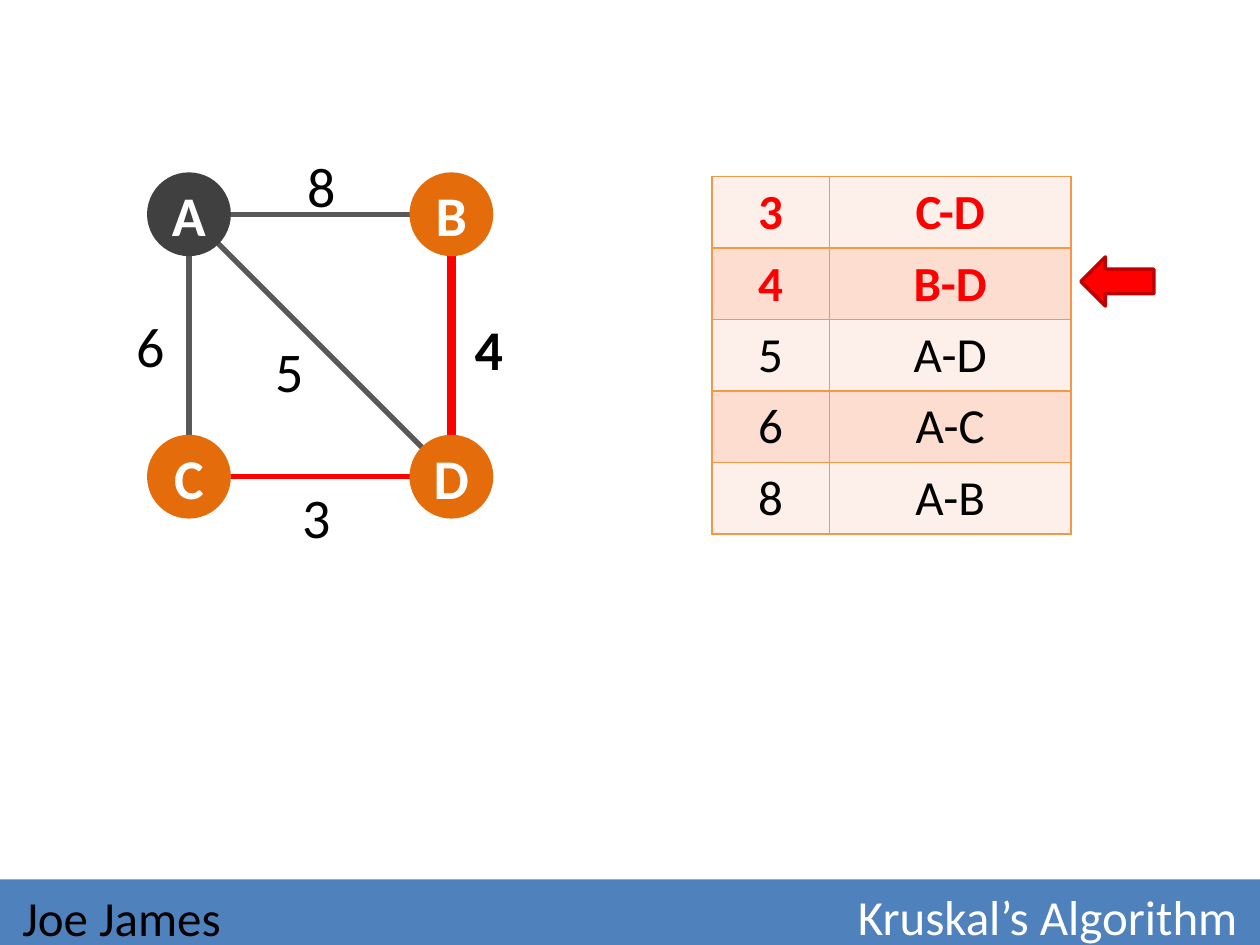
from lxml import etree
from pptx import Presentation
from pptx.dml.color import RGBColor
from pptx.enum.shapes import MSO_CONNECTOR, MSO_SHAPE
from pptx.enum.text import MSO_ANCHOR, MSO_AUTO_SIZE, PP_ALIGN
from pptx.oxml.ns import qn
from pptx.util import Cm, Pt

STRAIGHT = MSO_CONNECTOR.STRAIGHT
RECTANGLE, OVAL, LEFT_ARROW = MSO_SHAPE.RECTANGLE, MSO_SHAPE.OVAL, MSO_SHAPE.LEFT_ARROW
MIDDLE = MSO_ANCHOR.MIDDLE
NO_FIT = MSO_AUTO_SIZE.NONE
LEFT, CENTER, RIGHT = PP_ALIGN.LEFT, PP_ALIGN.CENTER, PP_ALIGN.RIGHT

BLACK = RGBColor(0x00, 0x00, 0x00)
WHITE = RGBColor(0xFF, 0xFF, 0xFF)
RED = RGBColor(0xFF, 0x00, 0x00)
DARK_RED = RGBColor(0xC0, 0x00, 0x00)
BLUE = RGBColor(0x4F, 0x81, 0xBD)
LINE_GRAY = RGBColor(0x59, 0x59, 0x59)
NODE_GRAY = RGBColor(0x40, 0x40, 0x40)
ORANGE = RGBColor(0xE4, 0x6C, 0x0A)
BORDER_ORANGE = RGBColor(0xF7, 0x96, 0x46)
ROW_FILLS = (RGBColor(0xFD, 0xEF, 0xE9), RGBColor(0xFC, 0xDD, 0xCF))

# Content: node -> (column, row, colour)
TITLE = "Kruskal’s Algorithm"
AUTHOR = "Joe James"
NODES = {
    "A": (0, 0, NODE_GRAY),
    "B": (1, 0, ORANGE),
    "C": (0, 1, ORANGE),
    "D": (1, 1, ORANGE),
}
# Edges by weight: weight, ends, chosen, line width, label left and top in cm
EDGES = [
    (3, "CD", True, 3, 5.84, 9.6),
    (4, "BD", True, 5, 9.32, 6.22),
    (5, "AD", False, 3, 5.31, 6.65),
    (6, "AC", False, 3, 2.51, 6.15),
    (8, "AB", False, 3, 5.94, 2.92),
]
CURRENT_WEIGHT = 4

# Layout in cm
NODE_SIZE, NODE_STEP = 1.69, 5.29
GRAPH_LEFT, GRAPH_TOP = 3.81, 4.32
TABLE_LEFT, TABLE_TOP, ROW_HEIGHT = 14.35, 3.56, 1.44
COLUMN_WIDTHS = (2.37, 4.87)
BAND_TOP, BAND_HEIGHT = 17.73, 1.32


def write(frame, text, size, color, bold=False, align=LEFT):
    frame.text = text
    para = frame.paragraphs[0]
    para.alignment = align
    para.font.name = "Calibri"
    para.font.size = Pt(size)
    para.font.bold = bold
    para.font.color.rgb = color


def add_filled(kind, left, top, width, height, color):
    shape = slide.shapes.add_shape(kind, Cm(left), Cm(top), Cm(width), Cm(height))
    shape.shadow.inherit = False
    shape.fill.solid()
    shape.fill.fore_color.rgb = color
    shape.line.fill.background()
    return shape


def add_label(text, left, top, width, height, size, bold=False):
    box = slide.shapes.add_textbox(Cm(left), Cm(top), Cm(width), Cm(height))
    box.text_frame.word_wrap = True
    write(box.text_frame, text, size, BLACK, bold)
    return box


def center(name):
    column, row, _ = NODES[name]
    return GRAPH_LEFT + column * NODE_STEP, GRAPH_TOP + row * NODE_STEP


def add_borders(cell, color):
    properties = cell._tc.get_or_add_tcPr()
    for position, side in enumerate(("a:lnL", "a:lnR", "a:lnT", "a:lnB")):
        line = etree.Element(qn(side), w=str(Pt(1)))
        fill = etree.SubElement(line, qn("a:solidFill"))
        etree.SubElement(fill, qn("a:srgbClr"), val=str(color))
        properties.insert(position, line)


deck = Presentation()
deck.slide_width, deck.slide_height = Cm(25.4), Cm(19.05)
slide = deck.slides.add_slide(deck.slide_layouts[5])

# Footer band with the title and the author
title = slide.shapes.title
title.left, title.top, title.width, title.height = Cm(7.62), Cm(BAND_TOP), Cm(17.58), Cm(1.47)
write(title.text_frame, TITLE, 28, WHITE, align=RIGHT)
title.text_frame.auto_size = NO_FIT
title.text_frame.vertical_anchor = MIDDLE
band = add_filled(RECTANGLE, 0, BAND_TOP, 25.4, BAND_HEIGHT, BLUE)
title.element.addprevious(band.element)
author = add_label(AUTHOR, 0.2, BAND_TOP, 7.42, 1.52, 28)
author.text_frame.vertical_anchor = MIDDLE

# Graph edges, then nodes over their ends, then weights
for weight, ends, chosen, width, *_ in EDGES:
    points = [Cm(value) for name in ends for value in center(name)]
    edge = slide.shapes.add_connector(STRAIGHT, *points)
    edge.line.color.rgb = RED if chosen else LINE_GRAY
    edge.line.width = Pt(width)
    etree.SubElement(edge.element.spPr, qn("a:effectLst"))

for name, (_, _, color) in NODES.items():
    x, y = center(name)
    node = add_filled(OVAL, x - NODE_SIZE / 2, y - NODE_SIZE / 2, NODE_SIZE, NODE_SIZE, color)
    frame = node.text_frame
    frame.margin_left = frame.margin_right = frame.margin_top = frame.margin_bottom = 0
    frame.word_wrap = False
    frame.vertical_anchor = MIDDLE
    write(frame, name, 32, WHITE, True, CENTER)

for weight, _, _, _, left, top in EDGES:
    add_label(str(weight), left, top, 2.49, 1.63, 32, weight == CURRENT_WEIGHT)

# Table of edges sorted by weight
table = slide.shapes.add_table(
    len(EDGES), len(COLUMN_WIDTHS), Cm(TABLE_LEFT), Cm(TABLE_TOP),
    Cm(sum(COLUMN_WIDTHS)), Cm(ROW_HEIGHT * len(EDGES))).table
table.first_row = False
for column, width in zip(table.columns, COLUMN_WIDTHS):
    column.width = Cm(width)
for index, (weight, ends, chosen, *_) in enumerate(EDGES):
    table.rows[index].height = Cm(ROW_HEIGHT)
    for cell, text in zip(table.rows[index].cells, (str(weight), "-".join(ends))):
        write(cell.text_frame, text, 28, RED if chosen else BLACK, chosen, CENTER)
        cell.fill.solid()
        cell.fill.fore_color.rgb = ROW_FILLS[index % 2]
        add_borders(cell, BORDER_ORANGE)

# Arrow at the current edge
arrow = add_filled(LEFT_ARROW, 21.79, 5.18, 1.47, 0.99, RED)
arrow.line.color.rgb = DARK_RED
arrow.line.width = Pt(2)

deck.save("out.pptx")
